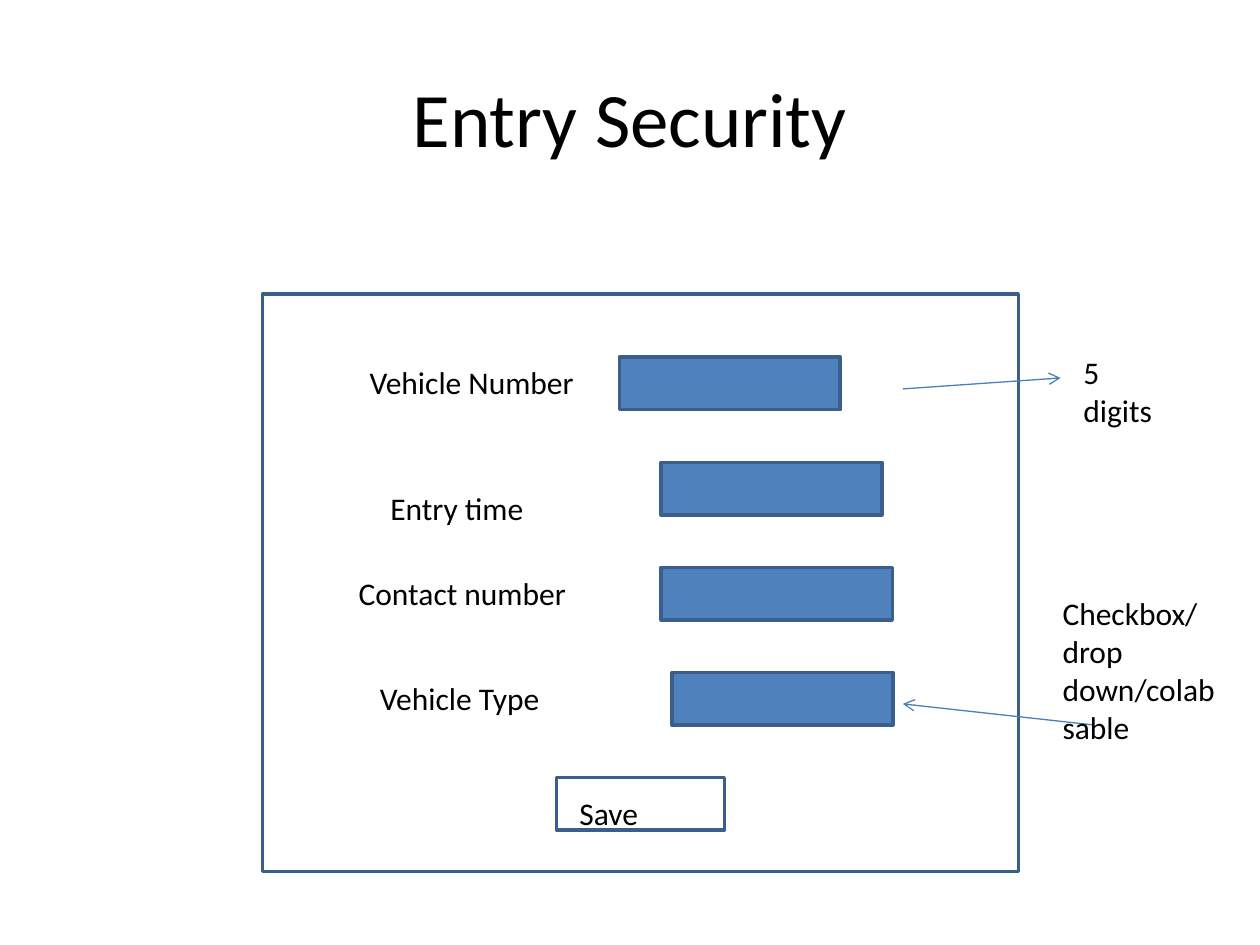
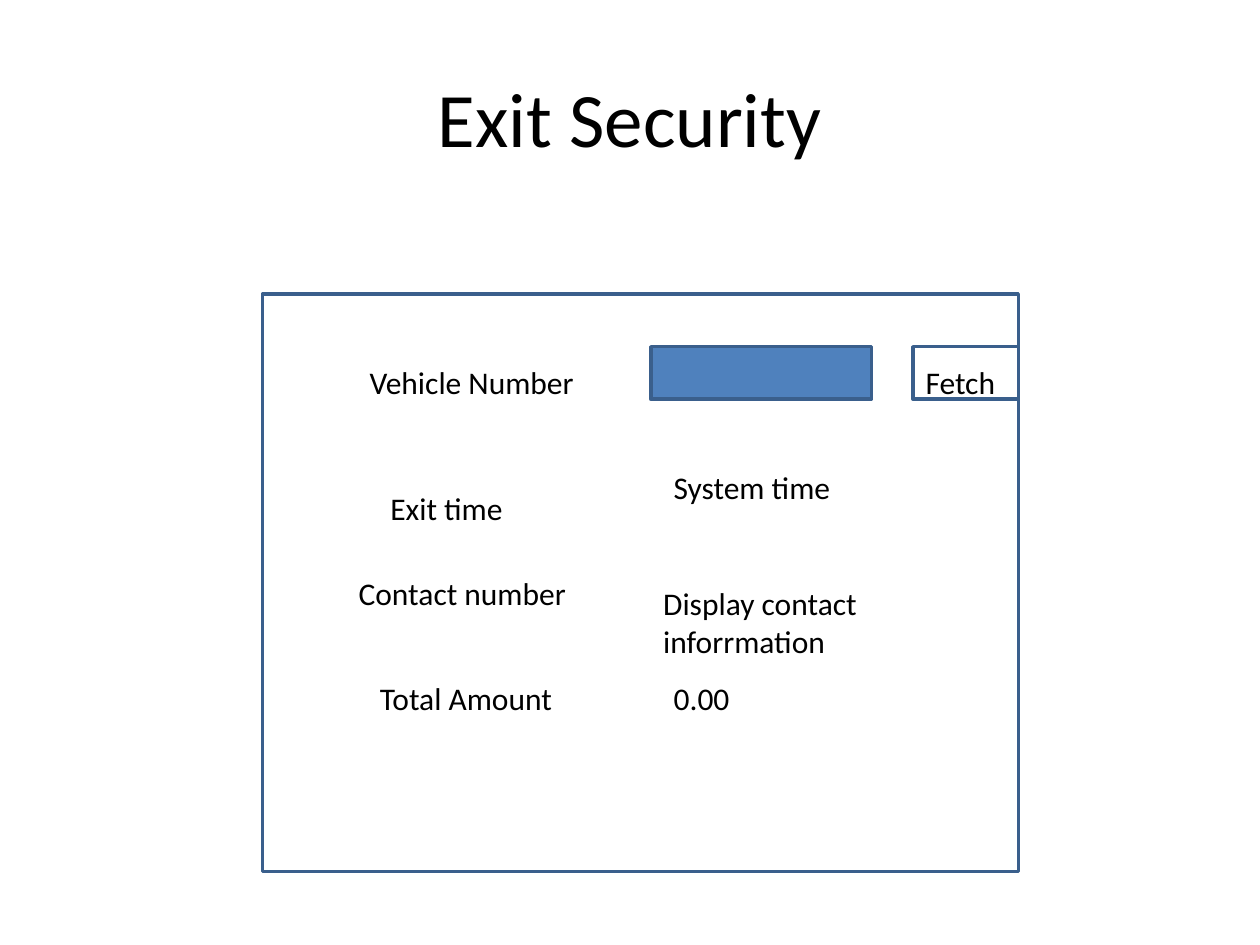
from pptx import Presentation
from pptx.dml.color import RGBColor
from pptx.enum.shapes import MSO_CONNECTOR as Connector, MSO_SHAPE as Shape
from pptx.enum.text import MSO_ANCHOR as Anchor, MSO_AUTO_SIZE as AutoSize, PP_ALIGN as Align
from pptx.oxml.ns import qn
from pptx.util import Cm, Pt
from lxml.etree import SubElement

COLORS = {"text": "000000", "field": "4F81BD", "border": "3A5F8C", "arrow": "4B7EBC"}
FONT = "Calibri"
PANEL = (5.29, 5.93, 15.24, 11.64)
FIELD_WIDTH, FIELD_HEIGHT = 4.45, 1.06
LINE_HEIGHT = 1.03
ROWS = [1.27 + 2.12 * row for row in range(4)]


def rgb(name):
    """Return a palette colour."""
    return RGBColor.from_string(COLORS[name])


def write(frame, text, size=18, color="text", align=Align.LEFT, anchor=Anchor.TOP):
    """Put formatted text into a text frame."""
    frame.word_wrap = True
    frame.vertical_anchor = anchor
    paragraph = frame.paragraphs[0]
    paragraph.alignment = align
    run = paragraph.add_run()
    run.text = text
    run.font.name, run.font.size = FONT, Pt(size)
    run.font.color.rgb = rgb(color)


def add_text(slide, box, text, left, top, width, height=LINE_HEIGHT):
    """Add a text box relative to the corner of a box."""
    shape = slide.shapes.add_textbox(Cm(box[0] + left), Cm(box[1] + top), Cm(width), Cm(height))
    write(shape.text_frame, text)
    shape.text_frame.auto_size = AutoSize.SHAPE_TO_FIT_TEXT


def add_rectangle(slide, box, left, top, width=FIELD_WIDTH, height=FIELD_HEIGHT, fill=None):
    """Add an outlined rectangle relative to the corner of a box."""
    shape = slide.shapes.add_shape(
        Shape.RECTANGLE, Cm(box[0] + left), Cm(box[1] + top), Cm(width), Cm(height))
    shape.shadow.inherit = False
    if fill:
        shape.fill.solid()
        shape.fill.fore_color.rgb = rgb(fill)
    else:
        shape.fill.background()
    shape.line.color.rgb, shape.line.width = rgb("border"), Pt(2)


def add_arrow(slide, box, start, end):
    """Add a thin arrow between two points relative to the corner of a box."""
    x, y = box[:2]
    arrow = slide.shapes.add_connector(
        Connector.STRAIGHT, Cm(x + start[0]), Cm(y + start[1]), Cm(x + end[0]), Cm(y + end[1]))
    arrow.line.color.rgb, arrow.line.width = rgb("arrow"), Pt(0.75)
    SubElement(arrow.line._get_or_add_ln(), qn("a:tailEnd"), type="arrow")
    SubElement(arrow._element.spPr, qn("a:effectLst"))


def add_form(presentation, title, box, time_label, last_label):
    """Start a slide with its title, the form panel and four row labels."""
    slide = presentation.slides.add_slide(presentation.slide_layouts[5])
    heading = slide.shapes.title
    heading.left, heading.top, heading.width, heading.height = Cm(1.27), Cm(0.76), Cm(22.86), Cm(3.18)
    write(heading.text_frame, title, size=44, align=Align.CENTER, anchor=Anchor.MIDDLE)
    add_rectangle(slide, box, 0, 0, *box[2:])
    add_text(slide, box, "Vehicle Number", 1.91, ROWS[0], 4.66)
    add_text(slide, box, time_label, 2.33, ROWS[1] + 0.42, 4.87)
    add_text(slide, box, "Contact number", 1.69, ROWS[2], 5.08)
    add_text(slide, box, last_label, 2.12, ROWS[3], 4.45)
    return slide


def fill_entry(slide, box):
    """Add the input fields, the save button and the annotations."""
    fields = [(7.2, FIELD_WIDTH), (8.04, FIELD_WIDTH), (8.04, 4.66), (8.26, FIELD_WIDTH)]
    for top, (left, width) in zip(ROWS, fields):
        add_rectangle(slide, box, left, top, width, fill="field")
    add_arrow(slide, box, (16.72, 8.68), (12.91, 8.26))
    add_text(slide, box, "Checkbox/drop down/colabsable", 15.88, 5.93, 3.6, 3.33)
    add_rectangle(slide, box, 5.93, 9.74, 3.39)
    add_text(slide, box, "Save", 6.14, 9.95, 2.75)
    add_arrow(slide, box, (12.91, 1.91), (16.09, 1.69))
    add_text(slide, box, "5 digits", 16.3, 1.06, 2.33, 1.8)


def fill_exit(slide, box):
    """Add the vehicle field, the fetch button and the displayed values."""
    add_rectangle(slide, box, 7.83, 1.06, fill="field")
    add_text(slide, box, "0.00", 8.04, ROWS[3], 4.23)
    add_text(slide, box, "Display contact inforrmation", 7.83, 5.72, 4.66, 1.8)
    add_text(slide, box, "System time", 8.04, ROWS[1], 5.08)
    add_rectangle(slide, box, 13.12, 1.06, 2.12)
    add_text(slide, box, "Fetch", 13.12, ROWS[0], 2.33)


def main():
    """Build both slides and save the presentation."""
    presentation = Presentation()
    presentation.slide_width, presentation.slide_height = Cm(25.4), Cm(19.05)
    fill_entry(add_form(presentation, "Entry Security", PANEL, "Entry time", "Vehicle Type"), PANEL)
    fill_exit(add_form(presentation, "Exit Security", PANEL, "Exit time", "Total Amount"), PANEL)
    presentation.save("out.pptx")


main()
